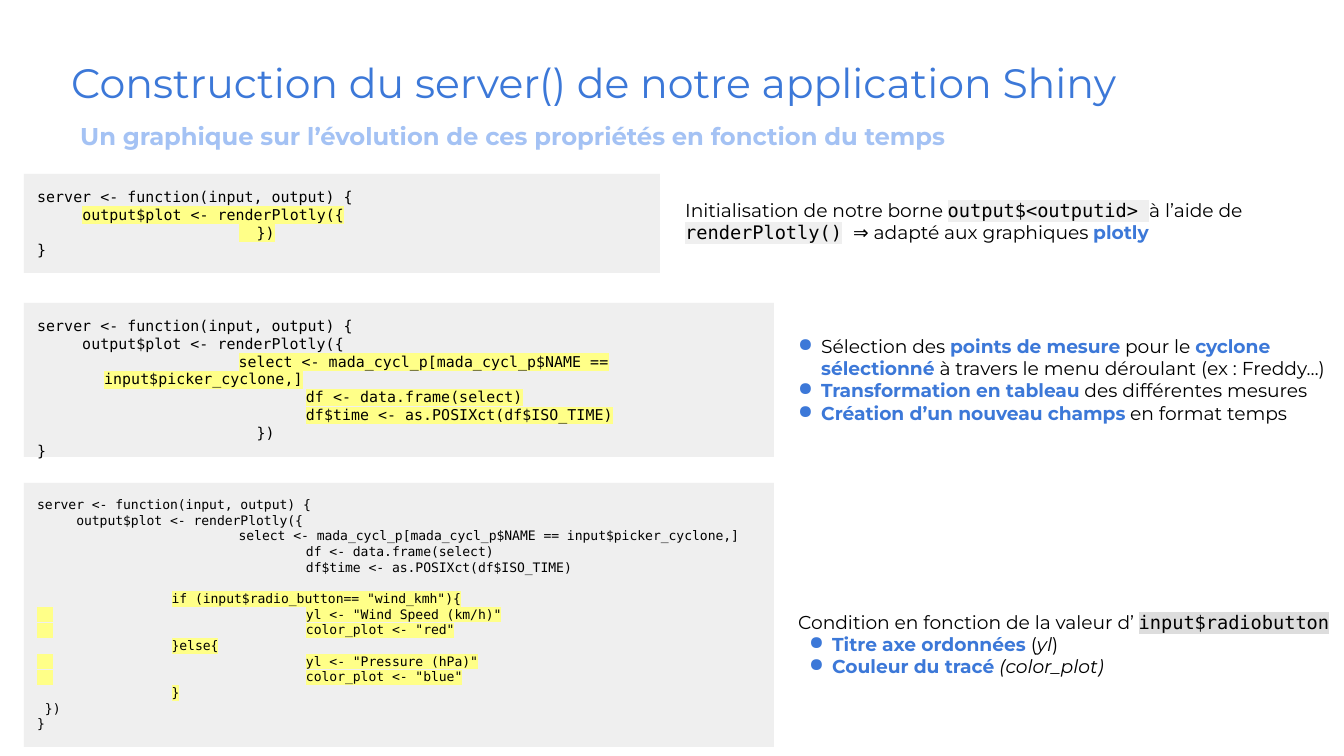
from lxml.etree import SubElement
from pptx import Presentation
from pptx.dml.color import RGBColor
from pptx.enum.shapes import MSO_SHAPE
from pptx.enum.text import MSO_ANCHOR, PP_ALIGN
from pptx.oxml.ns import qn
from pptx.util import Emu, Pt

EMU_PER_PX = 914400 / 134.4
SANS = "Montserrat"
MONO = "DejaVu Sans Mono"
BLUE = "3C78D8"
BLACK = "000000"
PALE_GREY = "EFEFEF"
YELLOW = "FFFF88"

TITLE = {"name": SANS, "size": Pt(22), "color": BLUE}
SUBTITLE = {"name": SANS, "size": Pt(13), "bold": True, "color": "A4C2F4"}
BODY = {"name": SANS, "size": Pt(10), "color": BLACK}
ITALIC = {**BODY, "italic": True}
STRONG = {**BODY, "bold": True, "color": BLUE}
INLINE = {**BODY, "name": MONO}
INLINE_MARKED = {**INLINE, "highlight": PALE_GREY}

SERVER_OPEN = ("server <- function(input, output) {", "", 0)
RENDER_OPEN = ("     output$plot <- renderPlotly({", "", 0)
SERVER_CLOSE = ("}", "", 0)
CODE_INDENT = 67

INITIAL_CODE = [
    SERVER_OPEN,
    ("     ", "output$plot <- renderPlotly({", 0),
    ("", "\t  })", CODE_INDENT),
    SERVER_CLOSE,
]
SELECTION_CODE = [
    SERVER_OPEN,
    RENDER_OPEN,
    ("\t", "select <- mada_cycl_p[mada_cycl_p$NAME == input$picker_cyclone,]", CODE_INDENT),
    ("", "\t\tdf <- data.frame(select)", 0),
    ("", "\t\tdf$time <- as.POSIXct(df$ISO_TIME)", 0),
    ("\t  })", "", CODE_INDENT),
    SERVER_CLOSE,
]
CONDITION_CODE = [
    SERVER_OPEN,
    RENDER_OPEN,
    ("\tselect <- mada_cycl_p[mada_cycl_p$NAME == input$picker_cyclone,]", "", CODE_INDENT),
    ("\t\tdf <- data.frame(select)", "", 0),
    ("\t\tdf$time <- as.POSIXct(df$ISO_TIME)", "", 0),
    ("", "", 0),
    ("\t", 'if (input$radio_button== "wind_kmh"){', 0),
    ("", '  \t\tyl <- "Wind Speed (km/h)"', 0),
    ("", '  \t\tcolor_plot <- "red"', 0),
    ("", "\t}else{", 0),
    ("", '  \t\tyl <- "Pressure (hPa)"', 0),
    ("", '  \t\tcolor_plot <- "blue"', 0),
    ("", "\t}", 0),
    (" })", "", 0),
    SERVER_CLOSE,
]


def px(length):
    return Emu(round(length * EMU_PER_PX))


def color(value):
    return RGBColor.from_string(value)


def set_frame(shape, anchor=MSO_ANCHOR.TOP):
    frame = shape.text_frame
    values = {"word_wrap": True, "vertical_anchor": anchor}
    for side in ("left", "right", "top", "bottom"):
        values[f"margin_{side}"] = Pt(7.2)
    for name, value in values.items():
        setattr(frame, name, value)
    return frame


def add_run(paragraph, text, style):
    run = paragraph.add_run()
    run.text = text
    run.font.color.rgb = color(style["color"])
    for name in ("name", "size", "bold", "italic"):
        if name in style:
            setattr(run.font, name, style[name])
    if "highlight" in style:
        properties = run.font._element
        highlight = SubElement(properties, qn("a:highlight"))
        SubElement(highlight, qn("a:srgbClr"), val=style["highlight"])
        properties.find(qn("a:solidFill")).addnext(highlight)


def next_paragraph(frame, index):
    return frame.add_paragraph() if index else frame.paragraphs[0]


def add_bullet(paragraph):
    properties = paragraph._p.get_or_add_pPr()
    properties.set("marL", str(px(34)))
    properties.set("indent", str(px(-23)))
    bullet_color = SubElement(properties, qn("a:buClr"))
    SubElement(bullet_color, qn("a:srgbClr"), val=BLUE)
    SubElement(properties, qn("a:buChar"), char="●")


def add_text(slide, box, paragraphs, anchor=MSO_ANCHOR.TOP, alignment=PP_ALIGN.LEFT):
    shape = slide.shapes.add_textbox(*map(px, box))
    frame = set_frame(shape, anchor)
    for index, (bulleted, runs) in enumerate(paragraphs):
        paragraph = next_paragraph(frame, index)
        paragraph.alignment = alignment
        if bulleted:
            add_bullet(paragraph)
        for text, style in runs:
            add_run(paragraph, text, style)


def add_code(slide, box, lines, size):
    shape = slide.shapes.add_shape(MSO_SHAPE.RECTANGLE, *map(px, box))
    shape.shadow.inherit = False
    shape.fill.solid()
    shape.fill.fore_color.rgb = color(PALE_GREY)
    shape.line.fill.background()
    frame = set_frame(shape)
    plain_style = {"name": MONO, "size": Pt(size), "color": BLACK}
    marked_style = {**plain_style, "highlight": YELLOW}
    for index, (plain, marked, indent) in enumerate(lines):
        paragraph = next_paragraph(frame, index)
        paragraph.alignment = PP_ALIGN.LEFT
        properties = paragraph._p.get_or_add_pPr()
        for name, value in {"marL": px(indent), "indent": 0, "defTabSz": 914400}.items():
            properties.set(name, str(value))
        for text, style in ((plain, plain_style), (marked, marked_style)):
            if text:
                add_run(paragraph, text, style)
        if not plain and not marked:
            end = SubElement(paragraph._p, qn("a:endParaRPr"), sz=str(size * 100))
            SubElement(end, qn("a:latin"), typeface=MONO)


def main():
    presentation = Presentation()
    presentation.slide_width = px(1344)
    presentation.slide_height = px(756)
    slide = presentation.slides.add_slide(presentation.slide_layouts[6])

    add_text(slide, (58, 24, 1160, 116),
             [(False, [("Construction du server() de notre application Shiny", TITLE)])],
             anchor=MSO_ANCHOR.MIDDLE)
    add_text(slide, (67, 108, 1089, 56),
             [(False, [("Un graphique sur l’évolution de ces propriétés en fonction du temps", SUBTITLE)])],
             alignment=PP_ALIGN.JUSTIFY)

    add_code(slide, (24, 174, 636, 99), INITIAL_CODE, 8)
    add_code(slide, (24, 303, 750, 154), SELECTION_CODE, 8)
    add_code(slide, (24, 483, 750, 264), CONDITION_CODE, 7)

    add_text(slide, (672, 185, 642, 73), [
        (False, [("Initialisation de notre borne ", BODY), ("output$<outputid> ", INLINE_MARKED),
                 ("à l’aide de ", BODY), ("renderPlotly()", INLINE_MARKED), (" ", INLINE),
                 ("⇒ adapté aux graphiques ", BODY), ("plotly", STRONG)]),
    ])
    add_text(slide, (774, 321, 581, 118), [
        (True, [("Sélection des ", BODY), ("points de mesure", STRONG), (" pour le ", BODY),
                ("cyclone sélectionné", STRONG),
                (" à travers le menu déroulant (ex : Freddy…)", BODY)]),
        (True, [("Transformation en tableau", STRONG), (" des différentes mesures", BODY)]),
        (True, [("Création d’un nouveau champs", STRONG), (" en format temps", BODY)]),
    ])
    add_text(slide, (785, 597, 581, 95), [
        (False, [("Condition en fonction de la valeur d’ ", BODY),
                 ("input$radiobutton", {**INLINE, "highlight": "DDDDDD"})]),
        (True, [("Titre axe ordonnées ", STRONG), ("(", BODY), ("yl", ITALIC), (")", BODY)]),
        (True, [("Couleur du tracé ", STRONG), ("(color_plot)", ITALIC)]),
    ])

    presentation.save("out.pptx")


if __name__ == "__main__":
    main()
